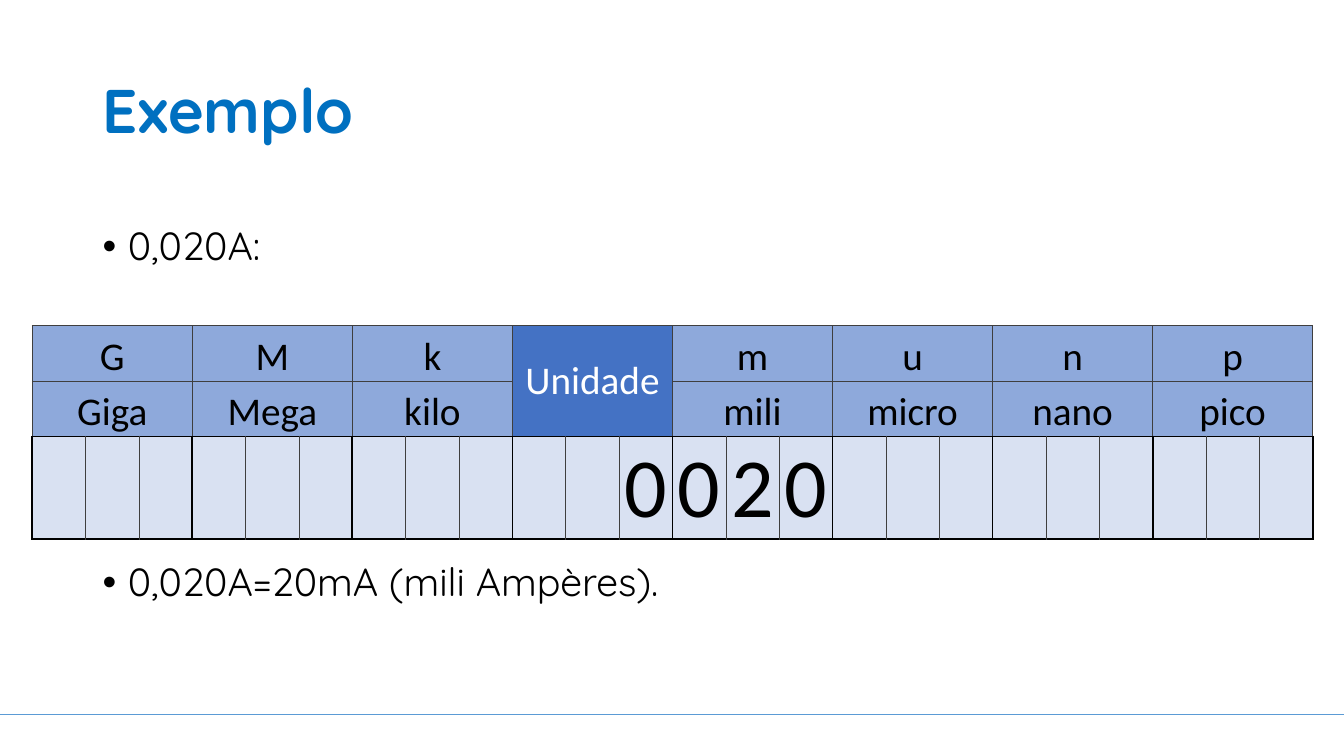
from lxml import etree
from pptx import Presentation
from pptx.dml.color import RGBColor
from pptx.enum.shapes import MSO_CONNECTOR
from pptx.enum.text import MSO_ANCHOR, PP_ALIGN
from pptx.oxml.ns import qn
from pptx.util import Inches, Pt


def rgb(value):
    return RGBColor.from_string(value)


def style_cell(cell, fill, borders, text="", size=28, color="000000", anchor=MSO_ANCHOR.BOTTOM):
    tcPr = cell._tc.get_or_add_tcPr()
    for side, (line_color, width) in zip("LRTB", borders):
        ln = etree.SubElement(tcPr, qn(f"a:ln{side}"), w=str(Pt(width)))
        solid = etree.SubElement(ln, qn("a:solidFill"))
        etree.SubElement(solid, qn("a:srgbClr"), val=line_color)
    cell.fill.solid()
    cell.fill.fore_color.rgb = rgb(fill)
    margins = {"margin_left": 0.01, "margin_right": 0.01, "margin_top": 0.01, "margin_bottom": 0}
    for name, value in margins.items():
        setattr(cell, name, Inches(value))
    cell.vertical_anchor = anchor
    if text:
        p = cell.text_frame.paragraphs[0]
        p.alignment = PP_ALIGN.CENTER
        r = p.add_run()
        r.text = text
        for name, value in {"name": "Calibri", "size": Pt(size)}.items():
            setattr(r.font, name, value)
        r.font.color.rgb = rgb(color)


prs = Presentation()
prs.slide_width, prs.slide_height = Inches(13.33), Inches(7.5)
s = prs.slides.add_slide(prs.slide_layouts[5])

# Footer line
footer = s.shapes.add_connector(MSO_CONNECTOR.STRAIGHT, 0, Inches(7.09), Inches(13.33), Inches(7.09))
footer.line.color.rgb = rgb("5B9BD5")
footer.line.width = Pt(0.5)
etree.SubElement(footer._element.spPr, qn("a:effectLst"))

# Title
title = s.shapes.title
frame = {"left": 0.92, "top": 0.4, "width": 11.5, "height": 1.45}
for name, value in frame.items():
    setattr(title, name, Inches(value))
title.text_frame.vertical_anchor = MSO_ANCHOR.MIDDLE
p = title.text_frame.paragraphs[0]
p.alignment, p.line_spacing = PP_ALIGN.LEFT, 0.9
r = p.add_run()
r.text = "Exemplo"
for name, value in {"name": "Quicksand", "size": Pt(44), "bold": True}.items():
    setattr(r.font, name, value)
r.font.color.rgb = rgb("0070C0")

# Bullets above and below the table
body = s.shapes.add_textbox(Inches(0.92), Inches(2.2), Inches(11.5), Inches(4.47))
tf = body.text_frame
tf.word_wrap = True
bullets = [("0,020A:", 10), ("0,020A=20mA (mili Ampères).", 210)]
for i, (text, space) in enumerate(bullets):
    p = tf.add_paragraph() if i else tf.paragraphs[0]
    p.line_spacing, p.space_before = 0.9, Pt(space)
    pPr = p._p.get_or_add_pPr()
    pPr.set("marL", str(Inches(0.25)))
    pPr.set("indent", str(-Inches(0.25)))
    etree.SubElement(pPr, qn("a:buFont"), typeface="Arial")
    etree.SubElement(pPr, qn("a:buChar"), char="•")
    r = p.add_run()
    r.text = text
    r.font.name, r.font.size = "Quicksand", Pt(28)
    r.font.color.rgb = rgb("000000")

# Prefix table: three digit columns under each prefix
prefixes = [("G", "Giga"), ("M", "Mega"), ("k", "kilo"), ("Unidade", ""),
            ("m", "mili"), ("u", "micro"), ("n", "nano"), ("p", "pico")]
digits = {11: "0", 12: "0", 13: "2", 14: "0"}
columns = 3 * len(prefixes)
thin, thick = ("3F3F3F", 0.5), ("000000", 1.5)

table = s.shapes.add_table(3, columns, Inches(0.32), Inches(3.23), Inches(12.7), Inches(2.1)).table
table.first_row = table.horz_banding = False
for column in table.columns:
    column.width = Inches(12.7 / columns)
for row, height in zip(table.rows, (0.55, 0.55, 1.02)):
    row.height = Inches(height)

# Prefix headings
for i, (symbol, name) in enumerate(prefixes):
    first, last = 3 * i, 3 * i + 2
    if name:
        for row, (text, bottom) in enumerate([(symbol, thin), (name, thick)]):
            table.cell(row, first).merge(table.cell(row, last))
            style_cell(table.cell(row, first), "8EA9DB", [thin, thin, thin, bottom], text)
    else:
        table.cell(0, first).merge(table.cell(1, last))
        style_cell(table.cell(0, first), "4472C4", [thin, thin, thin, thick], symbol,
                   color="FFFFFF", anchor=MSO_ANCHOR.MIDDLE)

# Digit row
for col in range(columns):
    left = thick if col % 3 == 0 else thin
    right = thick if col % 3 == 2 else thin
    style_cell(table.cell(2, col), "D9E1F2", [left, right, thick, thick], digits.get(col, ""), size=60)

prs.save("out.pptx")
